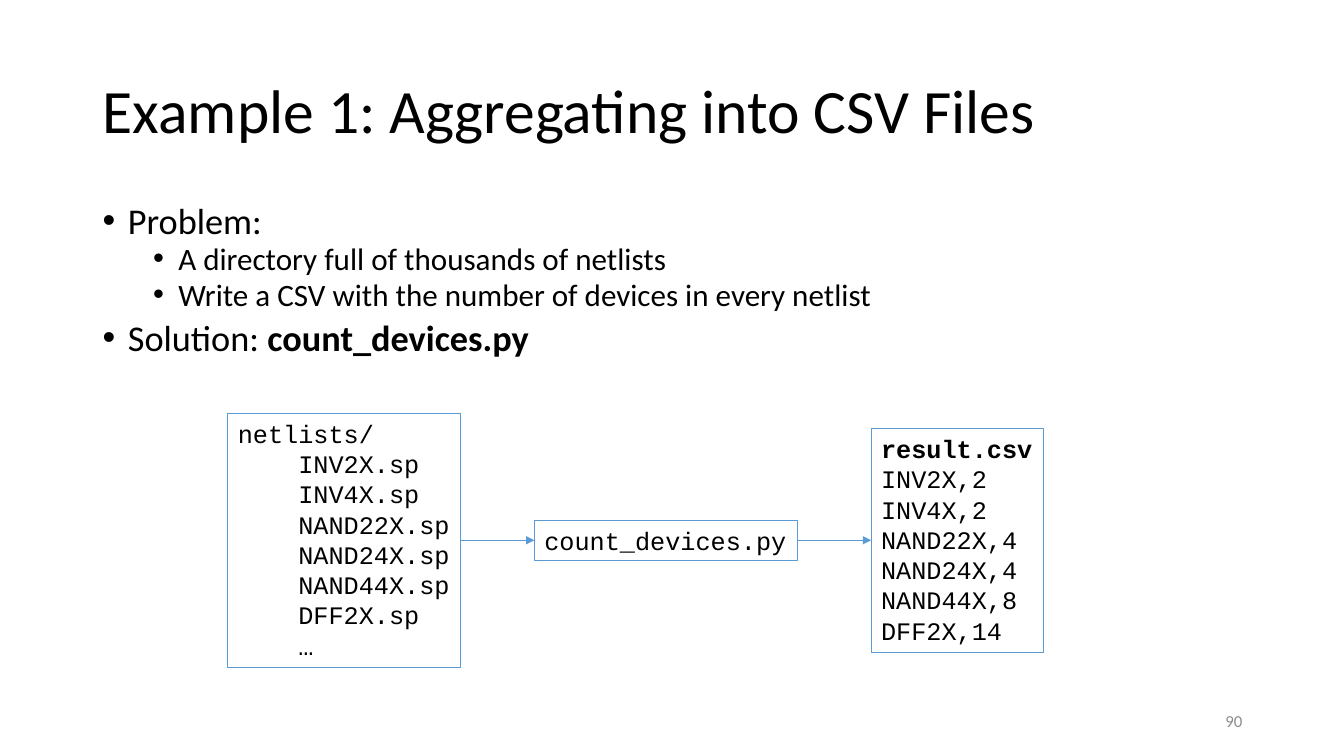
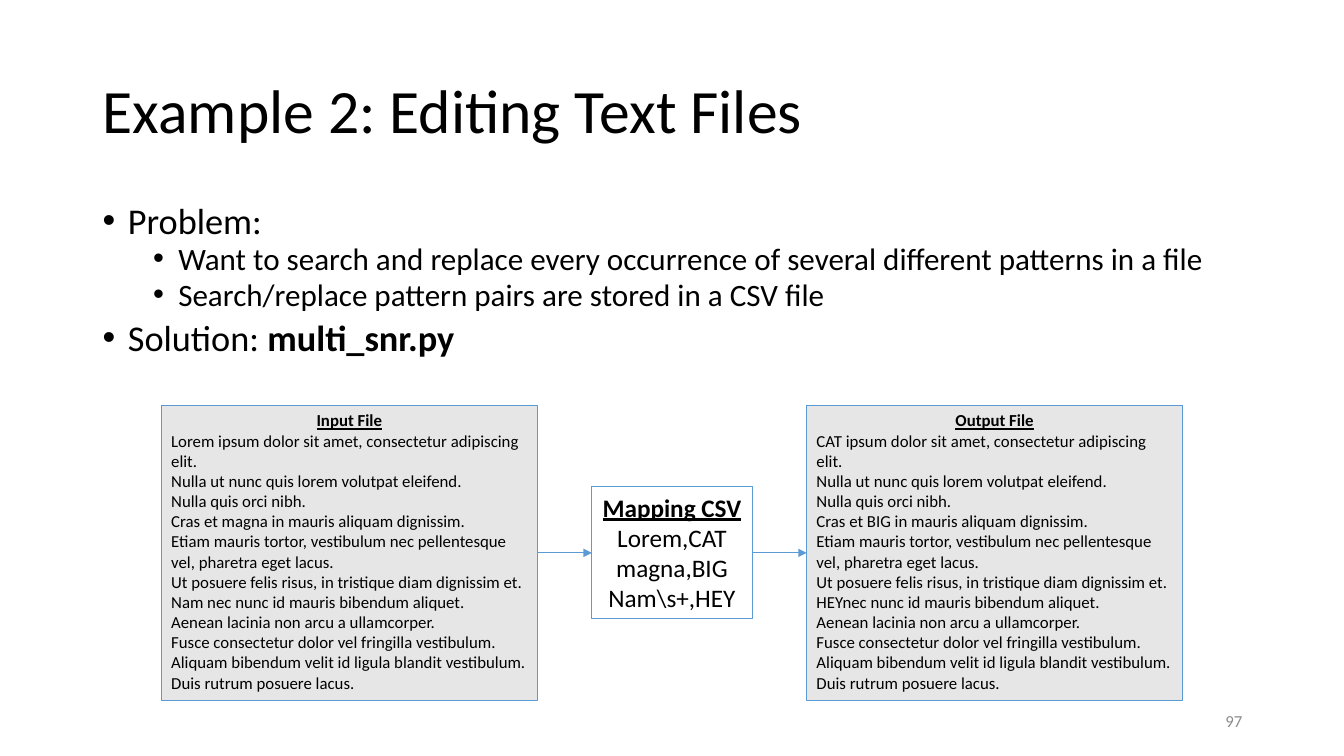
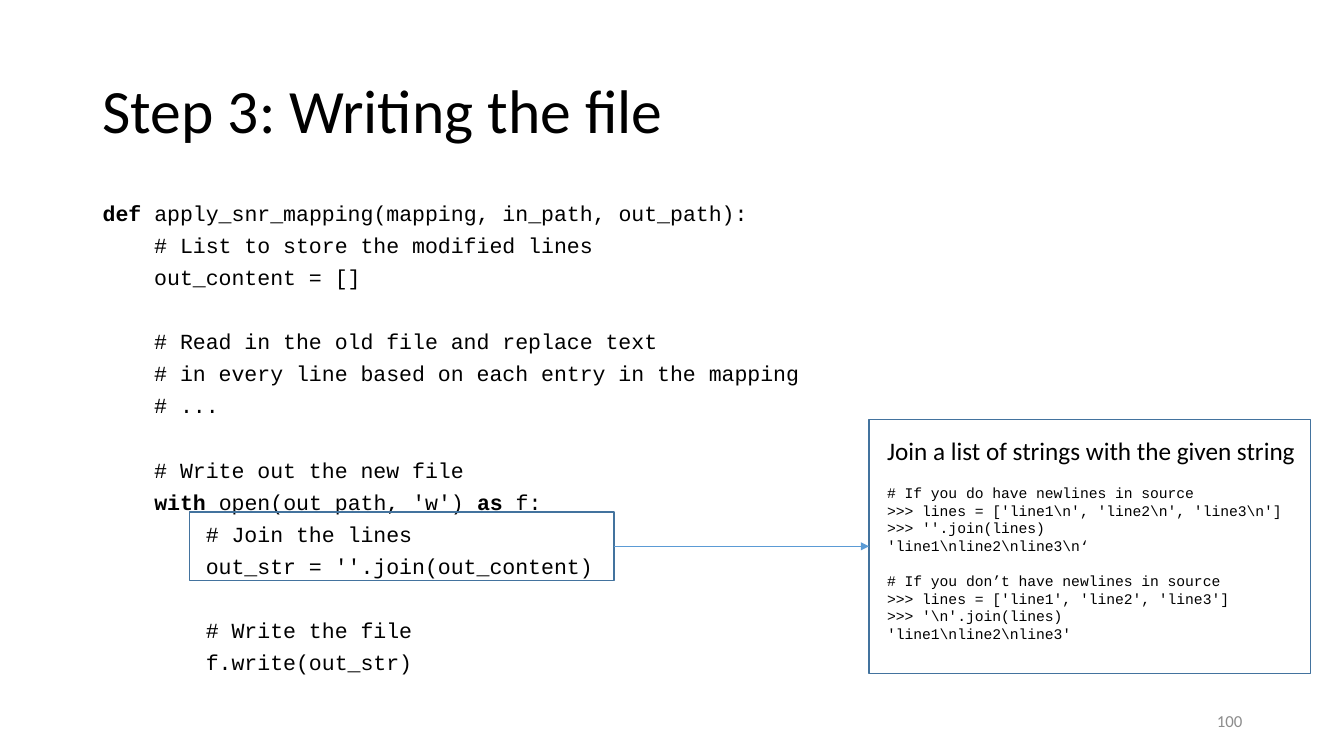
from lxml.etree import SubElement
from pptx import Presentation
from pptx.dml.color import RGBColor
from pptx.enum.shapes import MSO_CONNECTOR, MSO_SHAPE
from pptx.enum.text import MSO_ANCHOR, PP_ALIGN
from pptx.oxml.ns import qn
from pptx.util import Emu, Pt

SANS, MONO = "Calibri", "Courier New"
BLACK, GREY, PALE = "000000", "8C8C8C", "E7E6E6"
BLUE, DARK_BLUE = "5B9BD5", "43739E"
LEFT, RIGHT_SITE, LEFT_SITE = 92, 3, 1


def px(length):
    """100 px make one inch."""
    return Emu(length * 9144)


def color(value):
    return RGBColor.from_string(value)


class Slides:
    def __init__(self):
        self.deck = Presentation()
        self.deck.slide_width, self.deck.slide_height = px(1333), px(750)
        self.page = None

    def start(self, title, number):
        """New page with the shared title and page number."""
        self.page = self.deck.slides.add_slide(self.deck.slide_layouts[6])
        self.text(LEFT, 40, 1150, 145, [title], 44, spacing=0.9,
                  anchor=MSO_ANCHOR.MIDDLE)
        self.text(942, 695, 300, 40, [str(number)], 12, tint=GREY,
                  align=PP_ALIGN.RIGHT, anchor=MSO_ANCHOR.MIDDLE)

    def paragraph(self, frame, line, size, font=SANS, tint=BLACK, before=0,
                  spacing=1.0, align=PP_ALIGN.LEFT, bullet_indent=0):
        """Add one line; ** marks switch bold on and off."""
        first = not frame.paragraphs[0].runs
        para = frame.paragraphs[0] if first else frame.add_paragraph()
        para.alignment, para.line_spacing = align, spacing
        para.space_before = Pt(0 if first else before)
        if bullet_indent:
            properties = para._p.get_or_add_pPr()
            properties.set("marL", str(px(bullet_indent)))
            properties.set("indent", str(px(-25)))
            SubElement(properties, qn("a:buFont")).set("typeface", "Arial")
            SubElement(properties, qn("a:buChar")).set("char", "•")
        para.font.name, para.font.size = font, Pt(size)
        para.font.color.rgb = color(tint)
        for index, part in enumerate(line.split("**")):
            if part:
                span = para.add_run()
                span.text = part
                if index % 2:
                    span.font.bold = True
        return para

    def fill_frame(self, frame, lines, size, gap=0, before=0, **style):
        """An empty line adds the gap before the next paragraph."""
        extra = 0
        for line in lines:
            if line:
                self.paragraph(frame, line, size, before=before + extra, **style)
            extra = 0 if line else gap

    def text(self, left, top, width, height, lines, size, wrap=True,
             anchor=MSO_ANCHOR.TOP, **style):
        box = self.page.shapes.add_textbox(*map(px, (left, top, width, height)))
        frame = box.text_frame
        frame.word_wrap, frame.vertical_anchor = wrap, anchor
        self.fill_frame(frame, lines, size, **style)

    def problem(self, points, solution):
        """The bulleted problem and solution at the top of an example."""
        box = self.page.shapes.add_textbox(*map(px, (LEFT, 200, 1150, 175)))
        frame = box.text_frame
        frame.word_wrap = True
        main = dict(size=25.9, before=8, spacing=0.8, bullet_indent=25)
        detail = dict(size=22.2, before=4, spacing=0.8, bullet_indent=75)
        self.paragraph(frame, "Problem:", **main)
        for point in points:
            self.paragraph(frame, point, **detail)
        self.paragraph(frame, f"Solution: **{solution}**", **main)

    def box(self, left, top, width, height, lines=(), size=18, heading=None,
            fill=None, line=BLUE, weight=0.75, wrap=False, **style):
        """Outlined rectangle, with an underlined heading if one is given."""
        shape = self.page.shapes.add_shape(
            MSO_SHAPE.RECTANGLE, *map(px, (left, top, width, height)))
        shape.shadow.inherit = False
        if fill:
            shape.fill.solid()
            shape.fill.fore_color.rgb = color(fill)
        else:
            shape.fill.background()
        shape.line.color.rgb, shape.line.width = color(line), Pt(weight)
        frame = shape.text_frame
        frame.word_wrap, frame.vertical_anchor = wrap, MSO_ANCHOR.TOP
        if heading:
            para = self.paragraph(frame, heading, size, align=PP_ALIGN.CENTER)
            para.font.bold = para.font.underline = True
        self.fill_frame(frame, lines, size, **style)
        return shape

    def arrow(self, source, target):
        """Arrow from the right side of one box to the left side of the next."""
        line = self.page.shapes.add_connector(MSO_CONNECTOR.STRAIGHT, 0, 0, 0, 0)
        line.begin_connect(source, RIGHT_SITE)
        line.end_connect(target, LEFT_SITE)
        line.line.color.rgb, line.line.width = color(BLUE), Pt(0.5)
        SubElement(line.line._get_or_add_ln(), qn("a:tailEnd")).set("type", "triangle")
        SubElement(line._element.spPr, qn("a:effectLst"))


def csv_example(slides):
    slides.start("Example 1: Aggregating into CSV Files", 90)
    slides.problem(["A directory full of thousands of netlists",
                    "Write a CSV with the number of devices in every netlist"],
                   "count_devices.py")
    devices = {"INV2X": 2, "INV4X": 2, "NAND22X": 4, "NAND24X": 4,
               "NAND44X": 8, "DFF2X": 14}
    files = [f"    {name}.sp" for name in devices]
    rows = [f"{name},{count}" for name, count in devices.items()]
    netlists = slides.box(226, 410, 231, 252, ["netlists/", *files, "    …"], font=MONO)
    program = slides.box(530, 516, 261, 40, ["count_devices.py"], font=MONO)
    result = slides.box(864, 425, 171, 222, ["**result.csv**", *rows], font=MONO)
    slides.arrow(netlists, program)
    slides.arrow(program, result)


def text_example(slides):
    slides.start("Example 2: Editing Text Files", 97)
    slides.problem(["Want to search and replace every occurrence of several "
                    "different patterns in a file",
                    "Search/replace pattern pairs are stored in a CSV file"],
                   "multi_snr.py")
    before = [
        "Lorem ipsum dolor sit amet, consectetur adipiscing elit.",
        "Nulla ut nunc quis lorem volutpat eleifend.",
        "Nulla quis orci nibh.",
        "Cras et magna in mauris aliquam dignissim.",
        "Etiam mauris tortor, vestibulum nec pellentesque vel, pharetra eget lacus.",
        "Ut posuere felis risus, in tristique diam dignissim et.",
        "Nam nec nunc id mauris bibendum aliquet.",
        "Aenean lacinia non arcu a ullamcorper.",
        "Fusce consectetur dolor vel fringilla vestibulum.",
        "Aliquam bibendum velit id ligula blandit vestibulum.",
        "Duis rutrum posuere lacus.",
    ]
    after = [line.replace("Lorem", "CAT").replace("magna", "BIG").replace("Nam ", "HEY")
             for line in before]
    source, target = [
        slides.box(left, 402, 373, 293, lines, 12, heading, fill=PALE, wrap=True)
        for left, heading, lines in ((160, "Input File", before),
                                     (800, "Output File", after))]
    mapping = slides.box(587, 483, 159, 131, ["Lorem,CAT", "magna,BIG", r"Nam\s+,HEY"],
                         heading="Mapping CSV", align=PP_ALIGN.CENTER)
    slides.arrow(source, mapping)
    slides.arrow(mapping, target)


def writing_step(slides):
    slides.start("Step 3: Writing the file", 100)
    code = [
        "**def **apply_snr_mapping(mapping, in_path, out_path):",
        "    # List to store the modified lines",
        "    out_content = []",
        "",
        "    # Read in the old file and replace text",
        "    # in every line based on each entry in the mapping",
        "    # ...",
        "",
        "    # Write out the new file",
        "    **with** open(out_path, 'w') **as** f:",
        "        # Join the lines",
        "        out_str = ''.join(out_content)",
        "",
        "        # Write the file",
        "        f.write(out_str)",
    ]
    slides.text(LEFT, 200, 1150, 476, code, 15.4, font=MONO, before=10,
                spacing=0.7, gap=23)
    # Highlighted lines and their explanation
    highlight = slides.box(188, 508, 421, 68, line=DARK_BLUE, weight=1)
    callout = slides.box(862, 416, 438, 252, line=DARK_BLUE, weight=1)
    session = [
        "# If you do have newlines in source",
        r">>> lines = ['line1\n', 'line2\n', 'line3\n']",
        ">>> ''.join(lines)",
        r"'line1\nline2\nline3\n‘",
        "",
        "# If you don’t have newlines in source",
        ">>> lines = ['line1', 'line2', 'line3']",
        r">>> '\n'.join(lines)",
        r"'line1\nline2\nline3'",
    ]
    slides.text(870, 475, 415, 169, session, 10.5, wrap=False, font=MONO, gap=12.6)
    slides.text(870, 427, 430, 40, ["Join a list of strings with the given string"],
                18, wrap=False)
    slides.arrow(highlight, callout)


def main():
    slides = Slides()
    csv_example(slides)
    text_example(slides)
    writing_step(slides)
    slides.deck.save("out.pptx")


if __name__ == "__main__":
    main()
